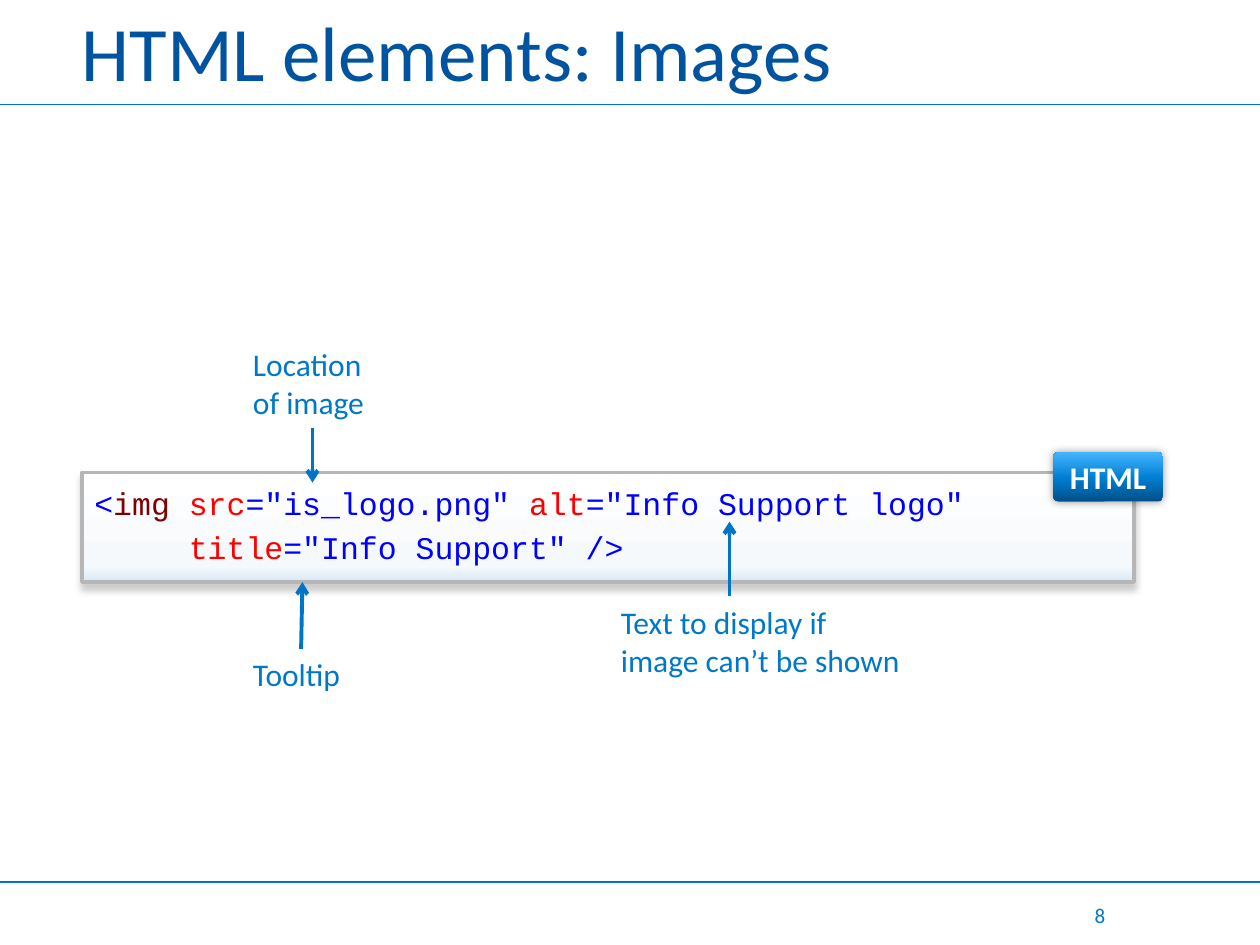
from dataclasses import dataclass
from typing import NamedTuple, Optional

import pptx
import pptx.dml.color
import pptx.enum.shapes
import pptx.enum.text
import pptx.oxml
import pptx.oxml.ns
import pptx.util
from lxml import etree

qn = pptx.oxml.ns.qn
Pt = pptx.util.Pt
ANCHOR = pptx.enum.text.MSO_ANCHOR
ALIGN = pptx.enum.text.PP_ALIGN
SHAPE = pptx.enum.shapes.MSO_SHAPE
STRAIGHT = pptx.enum.shapes.MSO_CONNECTOR.STRAIGHT
COLS, ROWS = 100, 75
BOTTOM, TOP = 2, 0


@dataclass(frozen=True)
class Theme:
    sans: str = "Calibri"
    mono: str = "Courier New"
    title: str = "00539F"
    line: str = "0075C5"
    label: str = "0078C9"
    border: str = "B6B6B6"
    white: str = "FFFFFF"
    black: str = "000000"
    tag: str = "800000"
    attribute: str = "FF0000"
    value: str = "0000FF"
    title_size: int = 44
    body_size: int = 18
    small_size: int = 12
    panel_stops: tuple = ((0, "FFFFFF"), (85, "F6F9FC"), (100, "D7E9F7"))
    badge_stops: tuple = ((0, "005087"), (48, "007ED2"), (100, "46B4FF"))


class Box(NamedTuple):
    """Left, top, width and height in grid columns and rows."""
    x: float
    y: float
    w: float
    h: float


class Shadow(NamedTuple):
    alpha: int
    blur: int
    distance: int
    angle: int


class Callout(NamedTuple):
    lines: tuple
    box: Box
    start: tuple
    end: tuple
    side: Optional[int]


T = Theme()
CALLOUTS = (
    Callout(("Location", "of image"), Box(19.1, 26.9, 11.4, 7.1),
            (24.8, 34), (24.8, 38.3), BOTTOM),
    Callout(("Text to display if image can’t be shown",), Box(48.3, 47.4, 24.4, 7.1),
            (57.9, 47.3), (57.9, 41.4), None),
    Callout(("Tooltip",), Box(19.1, 51.5, 9.6, 4),
            (23.9, 51.5), (24, 46.2), TOP),
)
CODE = (
    (("<", T.value), ("img ", T.tag), ("src", T.attribute), ('="is_logo.png" ', T.value),
     ("alt", T.attribute), ('="Info Support logo"', T.value)),
    (("     ", T.value), ("title", T.attribute), ('="Info Support" />', T.value)),
)

prs = pptx.Presentation()
prs.slide_width, prs.slide_height = pptx.util.Inches(10), pptx.util.Inches(7.5)
s = prs.slides.add_slide(prs.slide_layouts[6])


def across(cols: float) -> int:
    return round(prs.slide_width * cols / COLS)


def down(rows: float) -> int:
    return round(prs.slide_height * rows / ROWS)


def place(box: Box) -> tuple:
    return across(box.x), down(box.y), across(box.w), down(box.h)


def rgb(color: str):
    return pptx.dml.color.RGBColor.from_string(color)


def add_run(p, text: str, color: str, size: int = T.body_size,
            name: str = T.sans, bold: bool = False) -> None:
    r = p.add_run()
    r.text = text
    for key, value in {"name": name, "size": Pt(size), "bold": bold}.items():
        setattr(r.font, key, value)
    r.font.color.rgb = rgb(color)


def add_text(box: Box, lines: tuple, color: str, size: int = T.body_size,
             anchor=ANCHOR.TOP, align=ALIGN.LEFT):
    sp = s.shapes.add_textbox(*place(box))
    tf = sp.text_frame
    for key, value in {"word_wrap": True, "vertical_anchor": anchor}.items():
        setattr(tf, key, value)
    for i, line in enumerate(lines):
        p = tf.add_paragraph() if i else tf.paragraphs[0]
        p.alignment = align
        add_run(p, line, color, size)
    return sp


def add_line(start: tuple, end: tuple, width: float, arrow: bool = False):
    sp = s.shapes.add_connector(STRAIGHT, across(start[0]), down(start[1]),
                                across(end[0]), down(end[1]))
    sp.line.color.rgb = rgb(T.line)
    sp.line.width = Pt(width)
    if arrow:
        etree.SubElement(sp.line._get_or_add_ln(), qn("a:tailEnd"), type="arrow")
    etree.SubElement(sp._element.spPr, qn("a:effectLst"))
    return sp


def add_color(parent, color: str):
    return etree.SubElement(parent, qn("a:srgbClr"), val=color)


def add_panel(kind, box: Box, stops: tuple, angle: int, shadow: Shadow, anchor):
    """Add a shape with a gradient fill and an outer shadow."""
    sp = s.shapes.add_shape(kind, *place(box))
    sp.fill.gradient()
    sp.fill.gradient_angle = angle
    stop_list = sp._element.spPr.find(qn("a:gradFill")).find(qn("a:gsLst"))
    for old in list(stop_list):
        stop_list.remove(old)
    for position, color in stops:
        add_color(etree.SubElement(stop_list, qn("a:gs"), pos=str(position * 1000)), color)
    sp.line.fill.background()
    sp.shadow.inherit = False
    outer = etree.SubElement(
        sp._element.spPr.find(qn("a:effectLst")), qn("a:outerShdw"),
        blurRad=str(Pt(shadow.blur)), dist=str(Pt(shadow.distance)),
        dir=str(shadow.angle * 60000), algn="ctr", rotWithShape="0")
    etree.SubElement(add_color(outer, T.black), qn("a:alpha"), val=str(shadow.alpha * 1000))
    sp.text_frame.vertical_anchor = anchor
    return sp


def add_code() -> None:
    sp = add_panel(SHAPE.RECTANGLE, Box(6.5, 37.5, 83.5, 8.7), T.panel_stops, 270,
                   Shadow(20, 4, 3, 90), ANCHOR.TOP)
    sp.line.color.rgb = rgb(T.border)
    sp.line.width = Pt(2)
    sp.text_frame.word_wrap = True
    p = sp.text_frame.paragraphs[0]
    for key, value in {"alignment": ALIGN.LEFT, "line_spacing": 1.15}.items():
        setattr(p, key, value)
    for i, line in enumerate(CODE):
        if i:
            p.add_line_break()
        for text, color in line:
            add_run(p, text, color, name=T.mono)


def add_callout(callout: Callout) -> None:
    arrow = add_line(callout.start, callout.end, 2.25, arrow=True)
    label = add_text(callout.box, callout.lines, T.label)
    if callout.side is not None:
        arrow.begin_connect(label, callout.side)


def add_badge() -> None:
    sp = add_panel(SHAPE.ROUNDED_RECTANGLE, Box(83.6, 35.9, 8.7, 3.9), T.badge_stops, 90,
                   Shadow(40, 5, 0, 0), ANCHOR.MIDDLE)
    sp.adjustments[0] = 0.1
    sp.text_frame.word_wrap = False
    p = sp.text_frame.paragraphs[0]
    p.alignment = ALIGN.CENTER
    add_run(p, "HTML", T.white, bold=True)


for row in (8.3, 70):
    add_line((0, row), (COLS, row), 0.75)
add_text(Box(5.5, 0.8, 90, 6.4), ("HTML elements: Images",), T.title, T.title_size, ANCHOR.MIDDLE)
add_text(Box(82, 71.5, 6.7, 2.3), ("8",), T.label, T.small_size, ANCHOR.MIDDLE, ALIGN.RIGHT)
add_code()
for callout in CALLOUTS:
    add_callout(callout)
add_badge()
prs.save("out.pptx")
